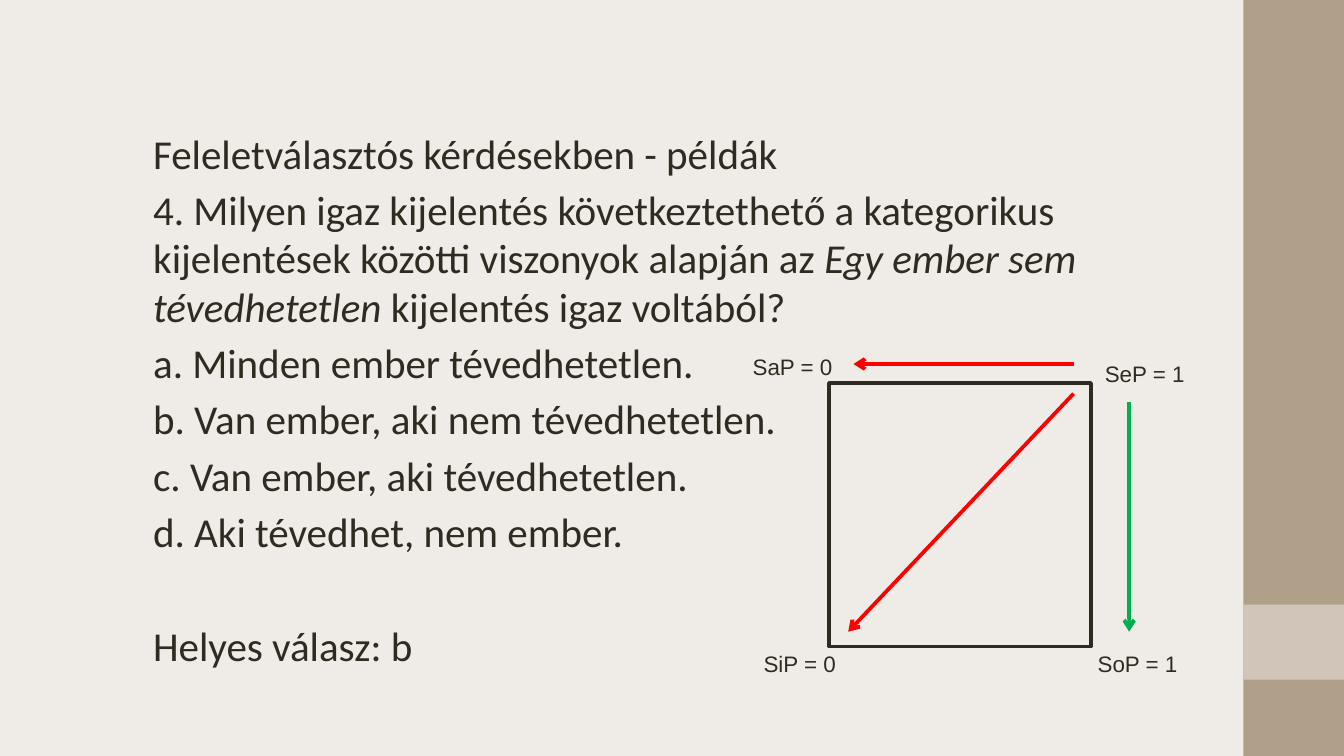
from typing import NamedTuple

from lxml.etree import SubElement
from pptx import Presentation
from pptx.dml.color import RGBColor
from pptx.enum.shapes import MSO_CONNECTOR, MSO_SHAPE
from pptx.enum.text import MSO_ANCHOR, PP_ALIGN
from pptx.oxml.ns import qn
from pptx.util import Cm, Pt

BACKGROUND = RGBColor(0xEF, 0xEC, 0xE7)
SIDEBAR = RGBColor(0xB1, 0xA0, 0x89)
SIDEBAR_BAND = RGBColor(0xD0, 0xC5, 0xB8)
INK = RGBColor(0x2F, 0x2B, 0x20)
RED = RGBColor(0xFF, 0x00, 0x00)
GREEN = RGBColor(0x00, 0xB0, 0x50)

LINE_WIDTH = Pt(2)
LABEL_HEIGHT = 0.76


class Box(NamedTuple):
    """Position and size in centimetres."""
    left: float
    top: float
    width: float
    height: float

    def lengths(self) -> list[Cm]:
        return [Cm(value) for value in self]


class Label(NamedTuple):
    text: str
    left: float
    top: float
    width: float


class Arrow(NamedTuple):
    start: tuple[float, float]
    end: tuple[float, float]
    color: RGBColor


SIDEBAR_PARTS = [
    (Box(23.5, 0, 1.9, 14.29), SIDEBAR),
    (Box(23.5, 11.43, 1.9, 1.42), SIDEBAR_BAND),
]
SQUARE = Box(15.67, 7.24, 4.95, 4.98)
LABELS = [
    Label("SaP = 0", 13.89, 6.55, 2.18),
    Label("SeP = 1", 20.35, 6.68, 2.57),
    Label("SiP = 0", 14.1, 12.17, 2.03),
    Label("SoP = 1", 20.32, 12.17, 2.36),
]
ARROWS = [
    Arrow((20.29, 6.88), (16.13, 6.88), RED),
    Arrow((20.29, 7.44), (16.03, 11.94), RED),
    Arrow((21.34, 7.59), (21.34, 11.94), GREEN),
]

# Each paragraph is a list of runs; every second run is italic
PARAGRAPHS = [
    ["Feleletválasztós kérdésekben - példák"],
    ["4. Milyen igaz kijelentés következtethető a kategorikus kijelentések "
     "közötti viszonyok alapján az ",
     "Egy ember sem tévedhetetlen ",
     "kijelentés igaz voltából?"],
    ["a. Minden ember tévedhetetlen."],
    ["b. Van ember, aki nem tévedhetetlen."],
    ["c. Van ember, aki tévedhetetlen."],
    ["d. Aki tévedhet, nem ember."],
    ["Helyes válasz: b"],
]


def add_rectangle(slide, box: Box):
    shape = slide.shapes.add_shape(MSO_SHAPE.RECTANGLE, *box.lengths())
    shape.shadow.inherit = False
    return shape


def add_sidebar_part(slide, box: Box, color: RGBColor) -> None:
    shape = add_rectangle(slide, box)
    shape.fill.solid()
    shape.fill.fore_color.rgb = color
    shape.line.fill.background()


def add_square(slide, box: Box) -> None:
    shape = add_rectangle(slide, box)
    shape.fill.background()
    shape.line.color.rgb = INK
    shape.line.width = LINE_WIDTH


def format_font(font, name: str, size: float) -> None:
    font.name = name
    font.size = Pt(size)
    font.color.rgb = INK


def add_label(slide, label: Label) -> None:
    box = Box(label.left, label.top, label.width, LABEL_HEIGHT)
    shape = slide.shapes.add_textbox(*box.lengths())
    shape.text_frame.word_wrap = True
    shape.text_frame.text = label.text
    paragraph = shape.text_frame.paragraphs[0]
    paragraph.alignment = PP_ALIGN.CENTER
    format_font(paragraph.runs[0].font, "Arial", 12)


def add_arrow(slide, arrow: Arrow) -> None:
    points = [Cm(value) for value in arrow.start + arrow.end]
    connector = slide.shapes.add_connector(MSO_CONNECTOR.STRAIGHT, *points)
    connector.line.color.rgb = arrow.color
    connector.line.width = LINE_WIDTH
    SubElement(connector.line._get_or_add_ln(), qn("a:tailEnd"), type="arrow")
    SubElement(connector._element.spPr, qn("a:effectLst"))


def fill_body(body, box: Box) -> None:
    body.left, body.top, body.width, body.height = box.lengths()
    text_frame = body.text_frame
    text_frame.word_wrap = True
    text_frame.vertical_anchor = MSO_ANCHOR.TOP
    for index, texts in enumerate(PARAGRAPHS):
        paragraph = text_frame.add_paragraph() if index else text_frame.paragraphs[0]
        paragraph.line_spacing = 0.98
        paragraph.space_before = Pt(4.4)
        properties = paragraph._p.get_or_add_pPr()
        properties.set("marL", str(Cm(0.3)))
        properties.set("indent", "0")
        SubElement(properties, qn("a:buNone"))
        for position, text in enumerate(texts):
            run = paragraph.add_run()
            run.text = text
            format_font(run.font, "Calibri", 22)
            run.font.italic = position % 2 == 1
    # The answer stands one line apart from the options
    text_frame.paragraphs[-1].space_before = Pt(35.2)


def main() -> None:
    presentation = Presentation()
    presentation.slide_width = Cm(25.4)
    presentation.slide_height = Cm(14.29)
    slide = presentation.slides.add_slide(presentation.slide_layouts[1])
    slide.background.fill.solid()
    slide.background.fill.fore_color.rgb = BACKGROUND

    # Question text; the slide has no title
    title = slide.shapes.title._element
    title.getparent().remove(title)
    fill_body(slide.placeholders[1], Box(2.34, 2.34, 21.16, 11.58))

    # Sidebar
    for box, color in SIDEBAR_PARTS:
        add_sidebar_part(slide, box, color)

    # Square of opposition
    add_square(slide, SQUARE)
    for label in LABELS:
        add_label(slide, label)
    for arrow in ARROWS:
        add_arrow(slide, arrow)

    presentation.save("out.pptx")


if __name__ == "__main__":
    main()
